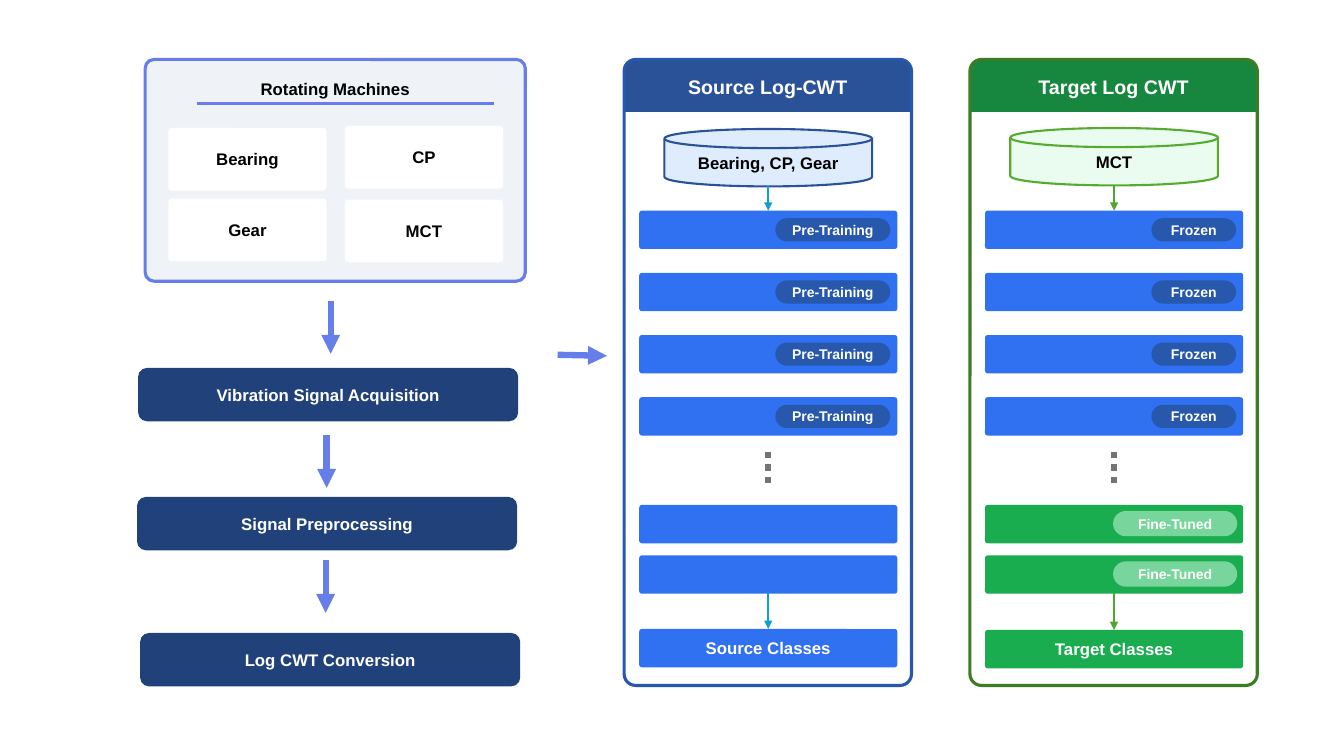
from lxml import etree
from pptx import Presentation, util as u
from pptx.dml.color import RGBColor
from pptx.enum import dml, shapes, text
from pptx.oxml.ns import qn

WHITE = RGBColor(0xFF, 0xFF, 0xFF)
BLACK = RGBColor(0, 0, 0)
PALE_GREY = RGBColor(0xEF, 0xF3, 0xF7)
DOT_GREY = RGBColor(0x74, 0x74, 0x74)
PERIWINKLE = RGBColor(0x66, 0x7E, 0xEA)
NAVY = RGBColor(0x21, 0x41, 0x7A)
HEADER_BLUE = RGBColor(0x2A, 0x52, 0x98)
FRAME_BLUE = RGBColor(0x27, 0x58, 0xAB)
LAYER_BLUE = RGBColor(0x2F, 0x71, 0xF0)
PALE_BLUE = RGBColor(0xDF, 0xEC, 0xFE)
CYAN = RGBColor(0x0F, 0x9E, 0xD5)
HEADER_GREEN = RGBColor(0x17, 0x87, 0x40)
FRAME_GREEN = RGBColor(0x3B, 0x7D, 0x23)
LAYER_GREEN = RGBColor(0x1A, 0xAD, 0x50)
PILL_GREEN = RGBColor(0x78, 0xD5, 0x9B)
PALE_GREEN = RGBColor(0xE9, 0xFC, 0xEF)
DISK_GREEN = RGBColor(0x56, 0xAB, 0x2F)
ARROW_GREEN = RGBColor(0x4E, 0xA7, 0x2E)

KIND = shapes.MSO_SHAPE


def write(shape, words, size=12, color=WHITE, font="Arial", bold=True):
    frame = shape.text_frame
    frame.margin_left = frame.margin_right = 0
    frame.margin_top = frame.margin_bottom = 0
    frame.word_wrap = True
    frame.vertical_anchor = text.MSO_ANCHOR.MIDDLE
    paragraph = frame.paragraphs[0]
    paragraph.text = words
    paragraph.alignment = text.PP_ALIGN.CENTER
    paragraph.font.name = font
    paragraph.font.size = u.Pt(size)
    paragraph.font.bold = bold
    paragraph.font.color.rgb = color


class Diagram:
    def __init__(self, slide):
        self.shapes = slide.shapes

    def block(self, left, top, width, height, fill=None, kind=KIND.ROUNDED_RECTANGLE,
              corner=None, line=None, weight=2.25, words="", **style):
        block = self.shapes.add_shape(kind, u.Inches(left), u.Inches(top),
                                      u.Inches(width), u.Inches(height))
        block.shadow.inherit = False
        if corner is not None:
            block.adjustments[0] = corner
        if fill is None:
            block.fill.background()
        else:
            block.fill.solid()
            block.fill.fore_color.rgb = fill
        if line is None:
            block.line.fill.background()
        else:
            block.line.color.rgb = line
            block.line.width = u.Pt(weight)
        if words:
            write(block, words, **style)

    def label(self, left, top, width, height, words, **style):
        box = self.shapes.add_textbox(u.Inches(left), u.Inches(top),
                                      u.Inches(width), u.Inches(height))
        write(box, words, **style)

    def line(self, x1, y1, x2, y2, color, weight, arrow=True, dash=None):
        line = self.shapes.add_connector(shapes.MSO_CONNECTOR.STRAIGHT, u.Inches(x1),
                                         u.Inches(y1), u.Inches(x2), u.Inches(y2))
        line.line.color.rgb = color
        line.line.width = u.Pt(weight)
        if dash:
            line.line.dash_style = dash
        properties = line._element.spPr
        if arrow:
            etree.SubElement(properties.find(qn("a:ln")), qn("a:tailEnd"), type="triangle")
        etree.SubElement(properties, qn("a:effectLst"))

    def layer(self, left, top, fill, words=""):
        self.block(left + 0.15, top, 2.56, 0.38, fill, corner=0.07, words=words)

    def pill(self, right, top, width, fill, words, line=None):
        self.block(right - width, top, width, 0.23, fill, corner=0.5, line=line,
                   weight=1.5, words=words, size=10)

    def network(self, left, title, header, frame, data, disk_top, disk_fill, disk_line,
                arrow, status, status_width, head_fill, classes, classes_top):
        """Draw one network column, from its data down to its classes."""
        middle = left + 1.43
        self.block(left, 0.59, 2.85, 0.52, header, KIND.ROUND_2_SAME_RECTANGLE,
                   words=title, size=14)
        self.block(left, 0.59, 2.85, 6.21, corner=0.04, line=frame)

        # Data set
        self.block(left + 0.4, disk_top, 2.06, 0.57, disk_fill,
                   KIND.FLOWCHART_MAGNETIC_DISK, line=disk_line, weight=1.5,
                   words=data, color=BLACK)
        self.line(middle, disk_top + 0.57, middle, 2.09, arrow, 1.5)

        # Shared layers
        for number in range(4):
            top = 2.09 + number * 0.617
            self.layer(left, top, LAYER_BLUE)
            self.pill(left + 2.64, top + 0.075, status_width, FRAME_BLUE, status)
        self.line(middle, 4.48, middle, 4.84, DOT_GREY, 4.5, arrow=False,
                  dash=dml.MSO_LINE.ROUND_DOT)

        # Final layers and classes
        for top in HEAD_TOPS:
            self.layer(left, top, head_fill)
        self.layer(left, classes_top, head_fill, classes)
        self.line(middle, 5.88, middle, classes_top, arrow, 1.5)


HEAD_TOPS = (5.01, 5.51)


def main():
    deck = Presentation()
    deck.slide_width, deck.slide_height = u.Inches(13.33), u.Inches(7.5)
    diagram = Diagram(deck.slides.add_slide(deck.slide_layouts[6]))

    # Rotating machines
    diagram.block(1.44, 0.59, 3.77, 2.2, PALE_GREY, corner=0.04, line=PERIWINKLE)
    diagram.label(2.07, 0.73, 2.51, 0.3, "Rotating Machines", color=BLACK)
    diagram.line(1.95, 1.03, 4.9, 1.03, PERIWINKLE, 2.25, arrow=False)
    for machine, left, top in (("Bearing", 1.67, 1.27), ("CP", 3.42, 1.25),
                               ("Gear", 1.67, 1.97), ("MCT", 3.42, 1.98)):
        diagram.block(left, top, 1.57, 0.62, WHITE, corner=0.05,
                      words=machine, color=BLACK)

    # Processing steps, each below its arrow
    for step, left, top, arrow_x, arrow_top in (
            ("Vibration Signal Acquisition", 1.37, 3.65, 3.28, 2.99),
            ("Signal Preprocessing", 1.36, 4.93, 3.24, 4.32),
            ("Log CWT Conversion", 1.39, 6.28, 3.23, 5.56)):
        diagram.line(arrow_x, arrow_top, arrow_x, arrow_top + 0.52, PERIWINKLE, 4.5)
        diagram.block(left, top, 3.77, 0.53, NAVY, words=step)
    diagram.line(5.53, 3.52, 6.02, 3.53, PERIWINKLE, 4.5)

    # Source network
    diagram.network(6.19, "Source Log-CWT", HEADER_BLUE, FRAME_BLUE,
                    "Bearing, CP, Gear", 1.28, PALE_BLUE, HEADER_BLUE, CYAN,
                    "Pre-Training", 1.14, LAYER_BLUE, "Source Classes", 6.24)

    # Target network with its fine-tuned layers
    diagram.network(9.62, "Target Log CWT", HEADER_GREEN, FRAME_GREEN,
                    "MCT", 1.27, PALE_GREEN, DISK_GREEN, ARROW_GREEN,
                    "Frozen", 0.84, LAYER_GREEN, "Target Classes", 6.25)
    for top in HEAD_TOPS:
        diagram.pill(12.26, top + 0.07, 1.21, PILL_GREEN, "Fine-Tuned", line=PILL_GREEN)

    deck.save("out.pptx")


if __name__ == "__main__":
    main()
